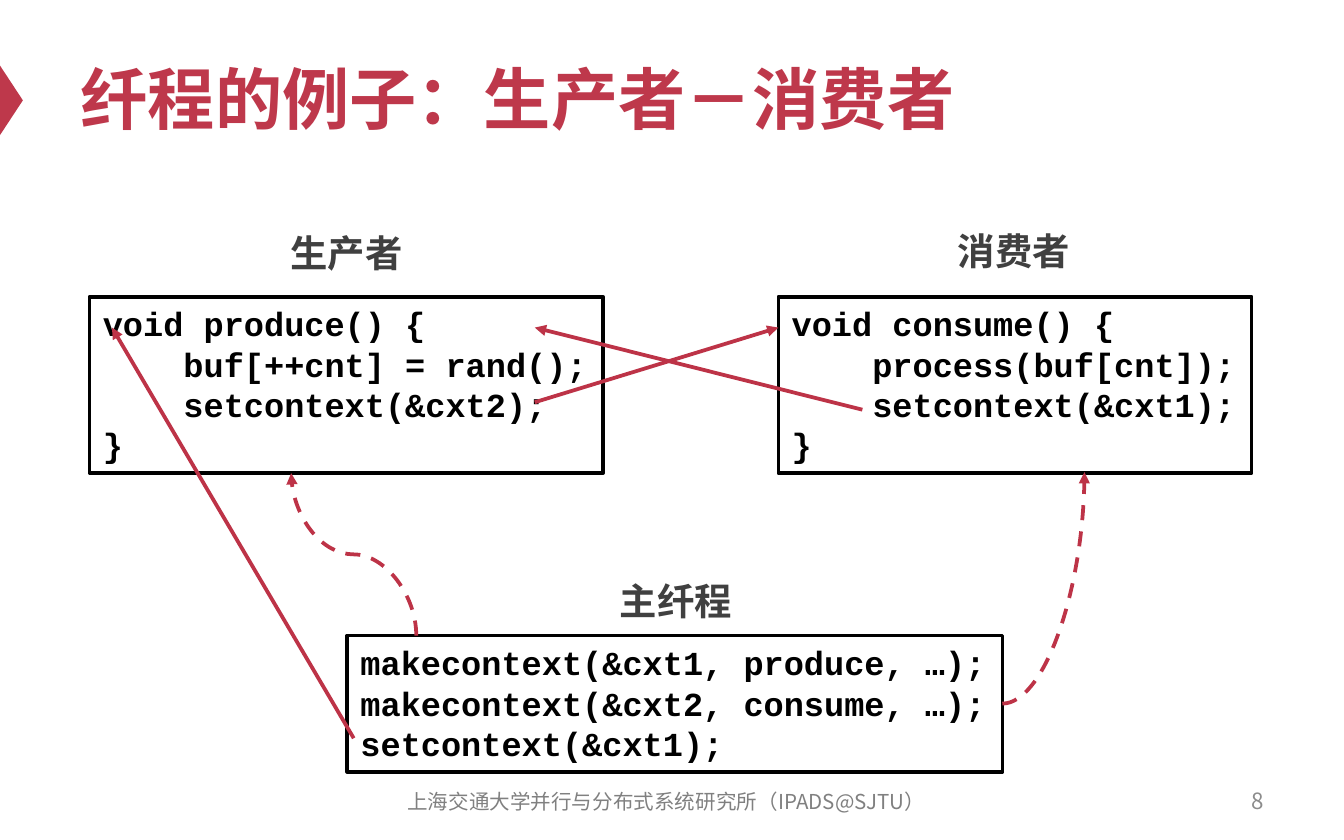
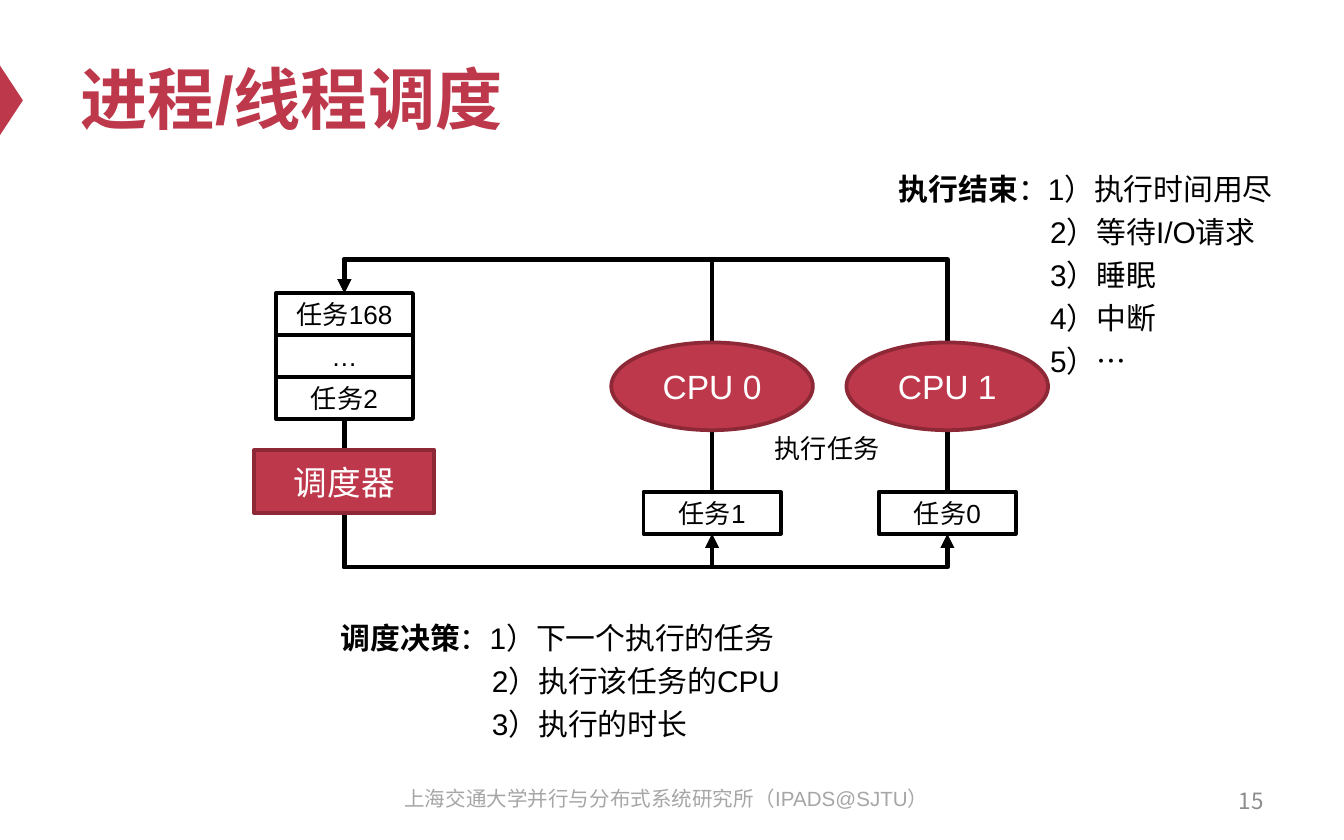
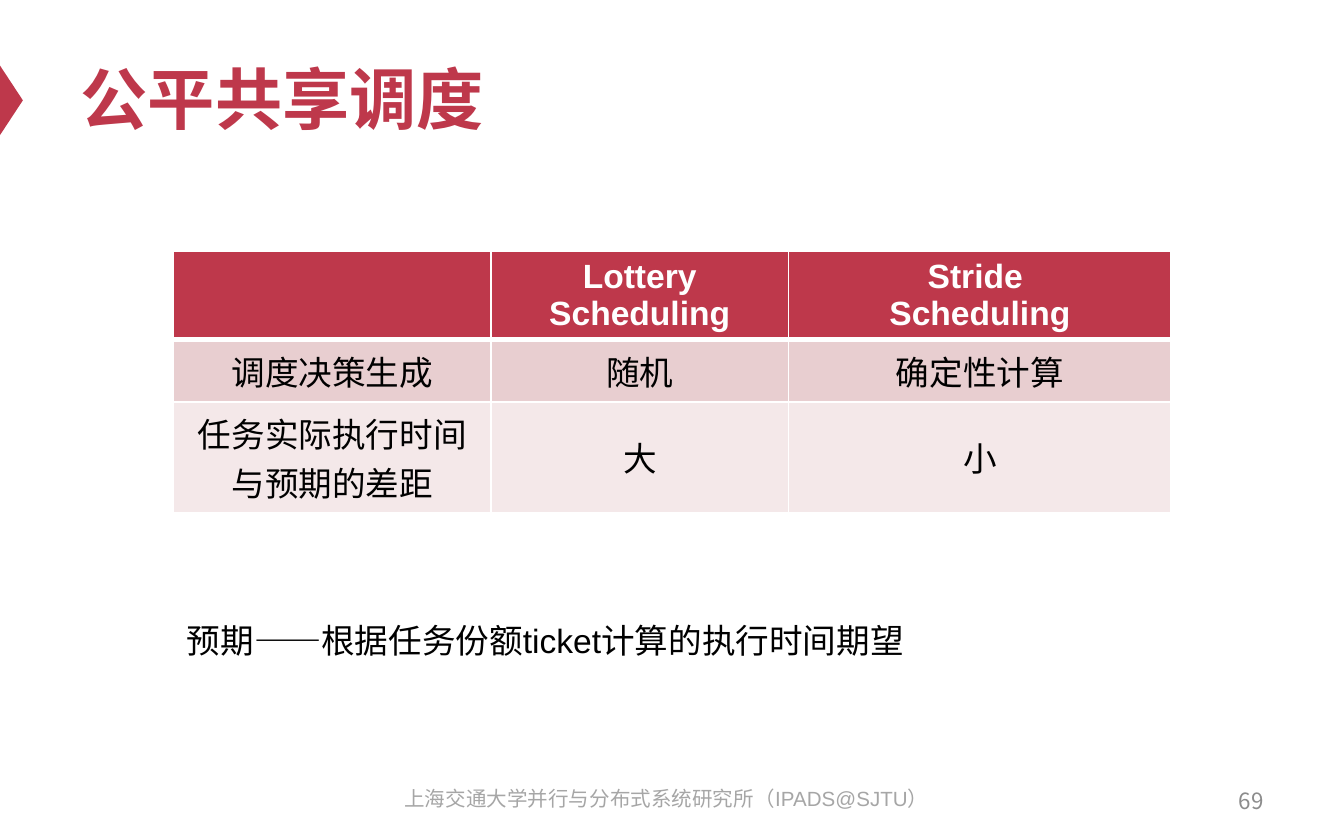
import pptx
import pptx.util
import pptx.dml.color
import pptx.enum.dml
import pptx.enum.shapes
import pptx.enum.text
import pptx.oxml.ns
import lxml.etree

Pt = pptx.util.Pt
RGBColor = pptx.dml.color.RGBColor
SHAPE = pptx.enum.shapes.MSO_SHAPE
CONNECTOR = pptx.enum.shapes.MSO_CONNECTOR
ALIGN = pptx.enum.text.PP_ALIGN
ANCHOR = pptx.enum.text.MSO_ANCHOR
qn = pptx.oxml.ns.qn

RED = RGBColor(0xBE, 0x38, 0x4B)
DARK_RED = RGBColor(0x8D, 0x29, 0x37)
ARROW_RED = RGBColor(0xBD, 0x33, 0x47)
BLACK = RGBColor(0, 0, 0)
WHITE = RGBColor(0xFF, 0xFF, 0xFF)
LABEL_GRAY = RGBColor(0x40, 0x40, 0x40)
NUMBER_GRAY = RGBColor(0x8C, 0x8C, 0x8C)
FOOTER_GRAY = RGBColor(0x80, 0x80, 0x80)
FOOTER_LIGHT = RGBColor(0xA6, 0xA6, 0xA6)
BAND_DARK = RGBColor(0xE8, 0xCE, 0xD0)
BAND_LIGHT = RGBColor(0xF4, 0xE8, 0xE9)
CJK_FONT = "Noto Sans CJK SC"
FOOTER = "上海交通大学并行与分布式系统研究所（IPADS@SJTU）"


def add_text(frame, text, lead="", size=18, font="Arial", color=BLACK, bold=False,
             align=ALIGN.LEFT, anchor=ANCHOR.TOP, wrap=True, spacing=None, indent=0):
    """Write one paragraph per line; a bold lead opens the first, indent moves the rest."""
    frame.word_wrap = wrap
    frame.auto_size = pptx.enum.text.MSO_AUTO_SIZE.NONE
    frame.vertical_anchor = anchor
    for index, line in enumerate(text.split("\n")):
        para = frame.add_paragraph() if index else frame.paragraphs[0]
        para.alignment = align
        if spacing:
            para.line_spacing = spacing
        if index and indent:
            para._p.get_or_add_pPr().set("marL", str(Pt(indent)))
        pieces = [(line, bold)]
        if lead and not index:
            pieces.insert(0, (lead, True))
        for piece, heavy in pieces:
            span = para.add_run()
            span.text = piece
            span.font.size = Pt(size)
            span.font.name = font
            span.font.bold = heavy
            span.font.color.rgb = color
            east_asian = lxml.etree.SubElement(span._r.get_or_add_rPr(), qn("a:ea"))
            east_asian.set("typeface", CJK_FONT)


def add_line(page, kind, begin, end, color, width, dashed=False, upright=False,
             preset=None, bend=None):
    """Draw an arrow; an upright one leaves and arrives vertically."""
    (x1, y1), (x2, y2) = begin, end
    if upright:
        middle_x, middle_y = (x1 + x2) / 2, (y1 + y2) / 2
        half_x, half_y = (x2 - x1) / 2, (y2 - y1) / 2
        x1, y1 = middle_x + half_y, middle_y - half_x
        x2, y2 = middle_x - half_y, middle_y + half_x
    line = page.shapes.add_connector(kind, Pt(x1), Pt(y1), Pt(x2), Pt(y2))
    line.line.color.rgb = color
    line.line.width = Pt(width)
    if dashed:
        line.line.dash_style = pptx.enum.dml.MSO_LINE.DASH
    properties = line._element.spPr
    if upright:
        properties.find(qn("a:xfrm")).set("rot", "16200000")
    geometry = properties.find(qn("a:prstGeom"))
    if preset:
        geometry.set("prst", preset)
    if bend:
        guide = lxml.etree.SubElement(geometry.find(qn("a:avLst")), qn("a:gd"))
        guide.set("name", "adj1")
        guide.set("fmla", f"val {round(bend * 100000)}")
    head = lxml.etree.SubElement(properties.find(qn("a:ln")), qn("a:tailEnd"))
    head.set("type", "triangle")
    lxml.etree.SubElement(properties, qn("a:effectLst"))


deck = pptx.Presentation()
deck.slide_width, deck.slide_height = Pt(720), Pt(450)

# Shared parts: title, side marker, footer, page number
pages = []
for title, number, footer_font, footer_color, footer_anchor in [
    ("纤程的例子：生产者－消费者", "8", CJK_FONT, FOOTER_GRAY, ANCHOR.MIDDLE),
    ("进程/线程调度", "15", "Arial", FOOTER_LIGHT, ANCHOR.TOP),
    ("公平共享调度", "69", "Arial", FOOTER_LIGHT, ANCHOR.TOP),
]:
    page = deck.slides.add_slide(deck.slide_layouts[5])
    pages.append(page)
    heading = page.shapes.title
    heading.left, heading.top, heading.width, heading.height = Pt(36), Pt(15), Pt(648), Pt(75)
    add_text(heading.text_frame, title, size=36, color=RED, bold=True, anchor=ANCHOR.MIDDLE)

    marker = page.shapes.add_shape(SHAPE.ISOSCELES_TRIANGLE, Pt(-13), Pt(47.5), Pt(38), Pt(12.5))
    marker.rotation = 90
    marker.shadow.inherit = False
    marker.fill.solid()
    marker.fill.fore_color.rgb = RED
    marker.line.fill.background()

    box = page.shapes.add_textbox(Pt(201), Pt(417.5), Pt(312), Pt(24))
    add_text(box.text_frame, FOOTER, size=11, font=footer_font, color=footer_color,
             align=ALIGN.CENTER, anchor=footer_anchor)
    box = page.shapes.add_textbox(Pt(516), Pt(417), Pt(168), Pt(24))
    add_text(box.text_frame, number, size=12, font=CJK_FONT, color=NUMBER_GRAY,
             align=ALIGN.RIGHT, anchor=ANCHOR.MIDDLE)

fiber_page, schedule_page, fair_page = pages

# Fibers: labelled code boxes
PRODUCE = "void produce() {\n    buf[++cnt] = rand();\n    setcontext(&cxt2);\n}"
CONSUME = "void consume() {\n    process(buf[cnt]);\n    setcontext(&cxt1);\n}"
MAIN = "makecontext(&cxt1, produce, …);\nmakecontext(&cxt2, consume, …);\nsetcontext(&cxt1);"
for label, label_x, label_y, code, x, y, width, height in [
    ("生产者", 148.5, 119.5, PRODUCE, 48, 159, 275, 94.5),
    ("消费者", 506, 118.5, CONSUME, 417, 159, 253.5, 94.5),
    ("主纤程", 325, 306, MAIN, 186, 340.5, 351, 73),
]:
    box = fiber_page.shapes.add_shape(SHAPE.RECTANGLE, Pt(x), Pt(y), Pt(width), Pt(height))
    box.shadow.inherit = False
    box.fill.background()
    box.line.color.rgb = BLACK
    box.line.width = Pt(2)
    add_text(box.text_frame, code, font="Courier New", bold=True, wrap=False)
    box = fiber_page.shapes.add_textbox(Pt(label_x), Pt(label_y), Pt(75), Pt(31.5))
    add_text(box.text_frame, label, size=20, color=LABEL_GRAY, bold=True, wrap=False)

# Fibers: switches are solid, creations are dashed
for begin, end in [
    ((286.5, 215.5), (417, 175.5)),
    ((462, 219.5), (286.5, 175.5)),
    ((189.5, 395.5), (60, 175.5)),
]:
    add_line(fiber_page, CONNECTOR.STRAIGHT, begin, end, ARROW_RED, 2)
add_line(fiber_page, CONNECTOR.CURVE, (223, 340.5), (156, 253.5), ARROW_RED, 2,
         dashed=True, upright=True)
add_line(fiber_page, CONNECTOR.CURVE, (537, 377), (581, 253), ARROW_RED, 2,
         dashed=True, preset="curvedConnector2")

# Scheduling: loop from the queue to each CPU and back
QUEUE_X, QUEUE_TOP, TASK_TOP = 184.5, 157, 263.5
TASK_WIDTH, TASK_HEIGHT = 73.5, 22.5
QUEUE_BOTTOM = QUEUE_TOP + 3 * TASK_HEIGHT
CPU_XS = [381.5, 507.5]
for cpu_x in CPU_XS:
    add_line(schedule_page, CONNECTOR.ELBOW, (QUEUE_X, QUEUE_BOTTOM),
             (cpu_x, TASK_TOP + TASK_HEIGHT), BLACK, 2.5, upright=True, bend=1.29)
    add_line(schedule_page, CONNECTOR.ELBOW, (cpu_x, TASK_TOP),
             (QUEUE_X, QUEUE_TOP), BLACK, 2.5, upright=True, bend=1.17)

# Scheduling: nodes as shape, centre x, top, width, height, text
nodes = [(SHAPE.RECTANGLE, QUEUE_X, 241, 96.5, 34, "调度器")]
for row, task in enumerate(["任务168", "…", "任务2"]):
    nodes.append((SHAPE.RECTANGLE, QUEUE_X, QUEUE_TOP + row * TASK_HEIGHT,
                  TASK_WIDTH, TASK_HEIGHT, task))
for cpu_x, cpu, task in zip(CPU_XS, ["CPU 0", "CPU 1"], ["任务1", "任务0"]):
    nodes.append((SHAPE.OVAL, cpu_x, 183.5, 108, 47, cpu))
    nodes.append((SHAPE.RECTANGLE, cpu_x, TASK_TOP, TASK_WIDTH, TASK_HEIGHT, task))
for shape, center_x, top, width, height, text in nodes:
    is_task = height == TASK_HEIGHT
    node = schedule_page.shapes.add_shape(shape, Pt(center_x - width / 2), Pt(top),
                                          Pt(width), Pt(height))
    node.shadow.inherit = False
    if is_task:
        node.fill.background()
    else:
        node.fill.solid()
        node.fill.fore_color.rgb = RED
    node.line.color.rgb = BLACK if is_task else DARK_RED
    node.line.width = Pt(2)
    add_text(node.text_frame, text, size=14 if is_task else 18,
             color=BLACK if is_task else WHITE, align=ALIGN.CENTER, anchor=ANCHOR.MIDDLE)

# Scheduling: notes
for lead, text, x, y, width, height in [
    ("调度决策", "：1）下一个执行的任务\n2）执行该任务的CPU\n3）执行的时长", 175.5, 324.5, 332, 75),
    ("执行结束", "：1）执行时间用尽\n2）等待I/O请求\n3）睡眠\n4）中断\n5）…", 474.5, 84, 254, 122),
]:
    box = schedule_page.shapes.add_textbox(Pt(x), Pt(y), Pt(width), Pt(height))
    add_text(box.text_frame, text, lead=lead, size=16, spacing=1.2, indent=81)
box = schedule_page.shapes.add_textbox(Pt(408), Pt(228), Pt(89.5), Pt(24.5))
add_text(box.text_frame, "执行任务", size=14)

# Fair sharing: comparison table
rows = [
    ["", "Lottery\nScheduling", "Stride \nScheduling"],
    ["调度决策生成", "随机", "确定性计算"],
    ["任务实际执行时间与预期的差距", "大", "小"],
]
row_fills = [RED, BAND_DARK, BAND_LIGHT]
table = fair_page.shapes.add_table(3, 3, Pt(93), Pt(134.5), Pt(534.5), Pt(88.5)).table
for column, width in zip(table.columns, [170, 159.5, 205]):
    column.width = Pt(width)
for row_index, row in enumerate(rows):
    is_header = row_index == 0
    for column_index, text in enumerate(row):
        cell = table.cell(row_index, column_index)
        cell.fill.solid()
        cell.fill.fore_color.rgb = row_fills[row_index]
        cell.vertical_anchor = ANCHOR.MIDDLE
        if text:
            add_text(cell.text_frame, text, color=WHITE if is_header else BLACK,
                     bold=is_header, align=ALIGN.CENTER)
        edges = [("a:lnL", 1), ("a:lnR", 1), ("a:lnT", 3 if row_index == 1 else 1),
                 ("a:lnB", 3 if is_header else 1)]
        for position, (tag, width) in enumerate(edges):
            edge = lxml.etree.Element(qn(tag), w=str(Pt(width)))
            fill = lxml.etree.SubElement(edge, qn("a:solidFill"))
            lxml.etree.SubElement(fill, qn("a:srgbClr")).set("val", str(WHITE))
            cell._tc.get_or_add_tcPr().insert(position, edge)

box = fair_page.shapes.add_textbox(Pt(93), Pt(328.5), Pt(402.5), Pt(29))
add_text(box.text_frame, "预期——根据任务份额ticket计算的执行时间期望")

deck.save("out.pptx")
